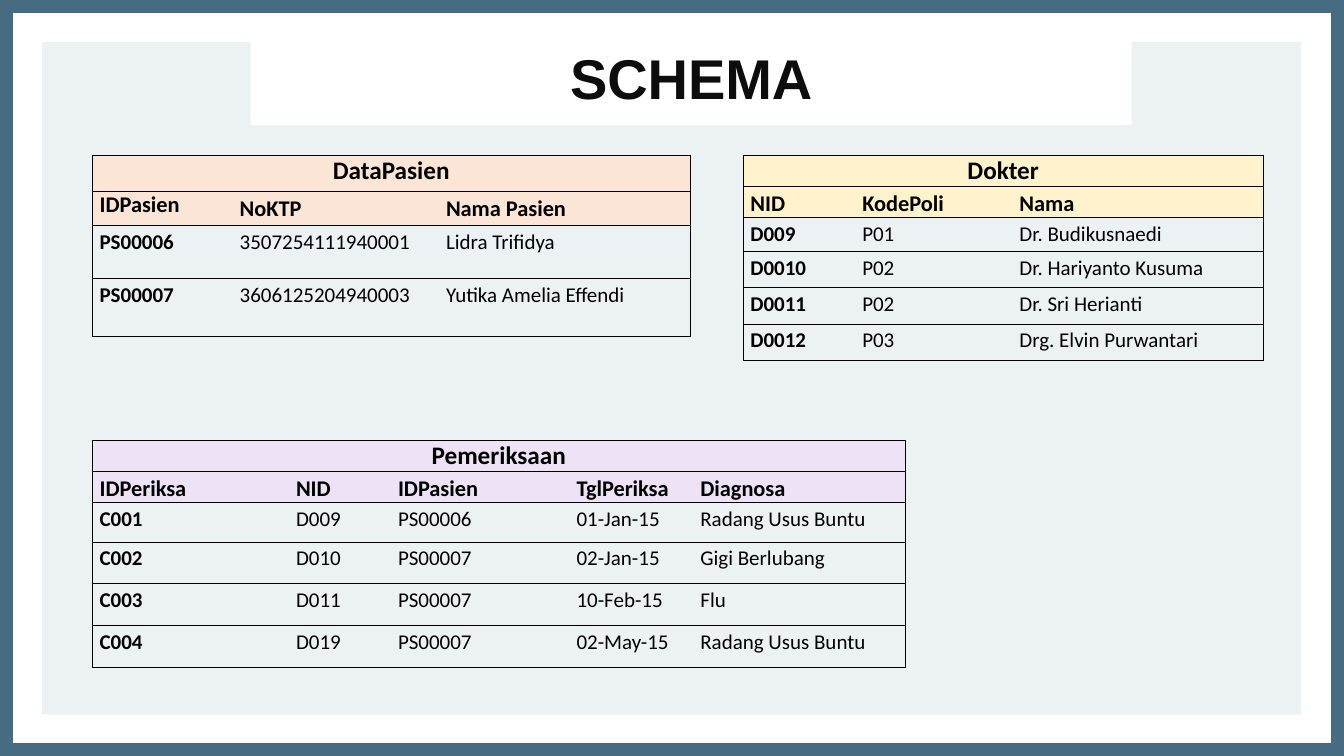
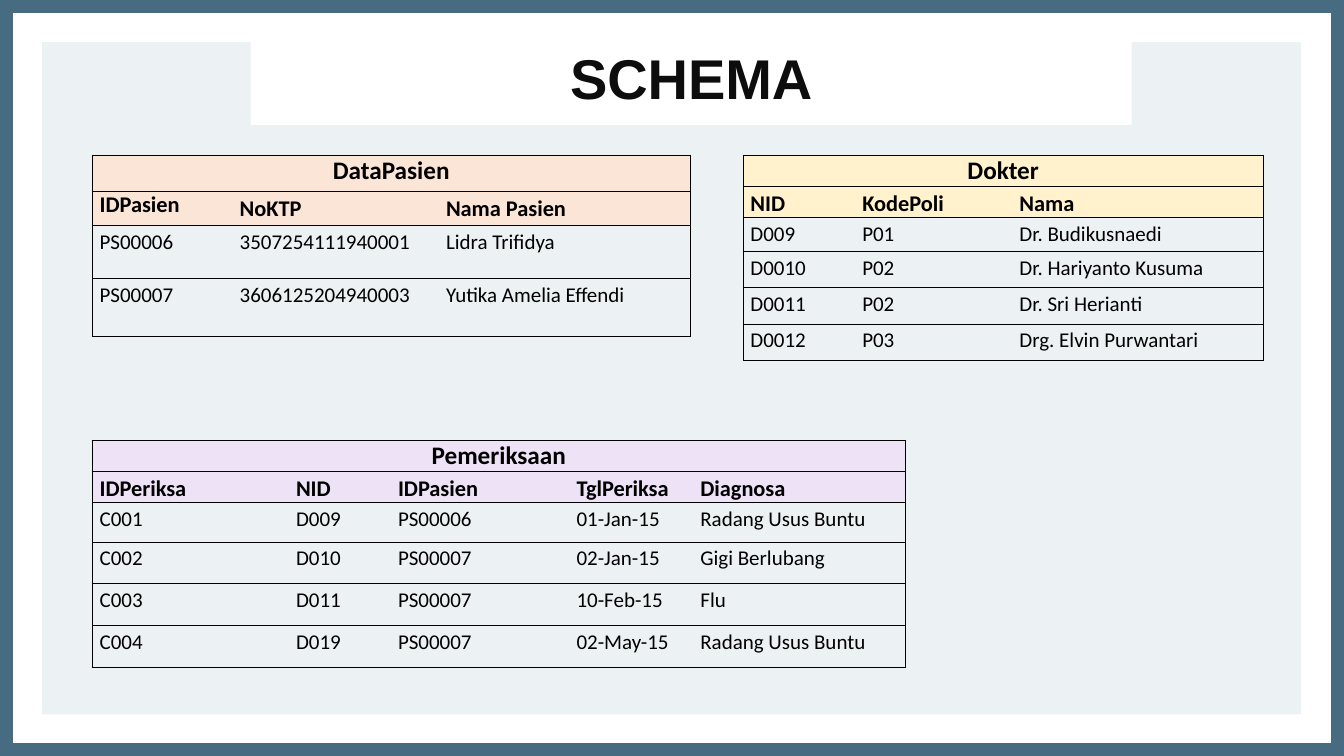
from dataclasses import dataclass
from typing import Any

from lxml.etree import SubElement
from pptx import Presentation
from pptx.dml.color import RGBColor
from pptx.enum.shapes import MSO_SHAPE
from pptx.enum.text import MSO_ANCHOR, PP_ALIGN
from pptx.oxml.ns import qn
from pptx.util import Cm, Pt

STEEL = RGBColor(0x47, 0x6C, 0x81)
MIST = RGBColor(0xEC, 0xF2, 0xF4)
WHITE = RGBColor(0xFF, 0xFF, 0xFF)
BLACK = RGBColor(0x00, 0x00, 0x00)
INK = RGBColor(0x0D, 0x0D, 0x0D)
PEACH = RGBColor(0xFB, 0xE5, 0xD6)
CREAM = RGBColor(0xFF, 0xF2, 0xCC)
LILAC = RGBColor(0xED, 0xE2, 0xF6)

SLIDE_W, SLIDE_H = 33.87, 19.05
BORDER = Pt(0.5)
BODY_SPACING = 1.15

TITLE_FONT = {"name": "Arial", "size": Pt(40), "bold": True}
CAPTION_FONT = {"name": "Calibri", "size": Pt(18), "bold": True}
HEADER_FONT = {"name": "Calibri", "size": Pt(16), "bold": True}
VALUE_FONT = {"name": "Calibri", "size": Pt(15), "bold": False}
KEY_FONT = VALUE_FONT | {"bold": True}
CELL_FORMAT = {
    "margin_left": Cm(0.19),
    "margin_right": Cm(0.19),
    "margin_top": 0,
    "margin_bottom": 0,
    "vertical_anchor": MSO_ANCHOR.TOP,
}


@dataclass(frozen=True)
class Relation:
    """One relation of the schema; lengths in centimetres."""

    name: str
    color: RGBColor
    left: float
    top: float
    widths: tuple[float, ...]
    heights: tuple[float, ...]
    rows: tuple[tuple[str, ...], ...]
    key_header_spacing: float = BODY_SPACING


RELATIONS = (
    Relation(
        "DataPasien", PEACH, 2.32, 3.91,
        (3.53, 5.2, 6.35), (0.91, 0.86, 1.34, 1.45),
        (
            ("IDPasien", "NoKTP", "Nama Pasien"),
            ("PS00006", "3507254111940001", "Lidra Trifidya"),
            ("PS00007", "3606125204940003", "Yutika Amelia Effendi"),
        ),
        key_header_spacing=1.0,
    ),
    Relation(
        "Dokter", CREAM, 18.72, 3.91,
        (2.82, 3.96, 6.34), (0.71, 0.69, 0.86, 0.91, 0.91, 0.91),
        (
            ("NID", "KodePoli", "Nama"),
            ("D009", "P01", "Dr. Budikusnaedi"),
            ("D0010", "P02", "Dr. Hariyanto Kusuma"),
            ("D0011", "P02", "Dr. Sri Herianti"),
            ("D0012", "P03", "Drg. Elvin Purwantari"),
        ),
    ),
    Relation(
        "Pemeriksaan", LILAC, 2.32, 11.1,
        (4.95, 2.57, 4.5, 3.12, 5.36), (0.69, 0.66, 0.99, 1.05, 1.05, 1.05),
        (
            ("IDPeriksa", "NID", "IDPasien", "TglPeriksa", "Diagnosa"),
            ("C001", "D009", "PS00006", "01-Jan-15", "Radang Usus Buntu"),
            ("C002", "D010", "PS00007", "02-Jan-15", "Gigi Berlubang"),
            ("C003", "D011", "PS00007", "10-Feb-15", "Flu"),
            ("C004", "D019", "PS00007", "02-May-15", "Radang Usus Buntu"),
        ),
    ),
)


def apply(target: Any, values: dict[str, Any]) -> None:
    """Set each named attribute of the target."""
    for name, value in values.items():
        setattr(target, name, value)


def write(tf: Any, text: str, font: dict[str, Any], color: RGBColor,
          align: PP_ALIGN = PP_ALIGN.LEFT, spacing: float = 1.0) -> None:
    """Write one formatted paragraph into a text frame."""
    p = tf.paragraphs[0]
    apply(p, {"alignment": align, "line_spacing": spacing})
    r = p.add_run()
    r.text = text
    apply(r.font, font)
    r.font.color.rgb = color


def add_block(slide: Any, kind: MSO_SHAPE, color: RGBColor,
              left: float, top: float, width: float, height: float) -> Any:
    """Add a flat shape without outline."""
    sp = slide.shapes.add_shape(kind, Cm(left), Cm(top), Cm(width), Cm(height))
    sp.shadow.inherit = False
    sp.fill.solid()
    sp.fill.fore_color.rgb = color
    sp.line.fill.background()
    return sp


def add_base(slide: Any, title: str) -> None:
    """Draw the frame, the panel and the title band."""
    frame = add_block(slide, MSO_SHAPE.FRAME, STEEL, 0, 0, SLIDE_W, SLIDE_H)
    frame.adjustments[0] = 0.017
    add_block(slide, MSO_SHAPE.RECTANGLE, MIST, 1.06, 1.06, 31.73, 16.94)
    band = add_block(slide, MSO_SHAPE.RECTANGLE, WHITE, 6.32, 0.74, 22.2, 2.41)
    tf = band.text_frame
    apply(tf, {"word_wrap": True, "vertical_anchor": MSO_ANCHOR.MIDDLE})
    write(tf, title, TITLE_FONT, INK, PP_ALIGN.CENTER)


def set_borders(cell: Any, visible: str) -> None:
    """Rule the visible sides (letters of LRTB) and clear the others."""
    tc_pr = cell._tc.get_or_add_tcPr()
    for i, side in enumerate("LRTB"):
        ln = SubElement(tc_pr, qn(f"a:ln{side}"), w=str(BORDER))
        if side in visible:
            fill = SubElement(ln, qn("a:solidFill"))
            SubElement(fill, qn("a:srgbClr"), val=str(BLACK))
        else:
            SubElement(ln, qn("a:noFill"))
        tc_pr.insert(i, ln)


def format_cell(cell: Any, color: RGBColor | None, sides: str) -> None:
    """Set margins, fill and borders of a cell."""
    apply(cell, CELL_FORMAT)
    if color is None:
        cell.fill.background()
    else:
        cell.fill.solid()
        cell.fill.fore_color.rgb = color
    set_borders(cell, sides)


def add_relation(slide: Any, rel: Relation, bold_keys: bool) -> None:
    """Draw a relation as a table with caption, header and data rows."""
    n_rows, n_cols = len(rel.heights), len(rel.widths)
    table = slide.shapes.add_table(
        n_rows, n_cols, Cm(rel.left), Cm(rel.top),
        Cm(sum(rel.widths)), Cm(sum(rel.heights))).table
    apply(table, {"first_row": False, "horz_banding": False})
    for column, width in zip(table.columns, rel.widths):
        column.width = Cm(width)
    for row, height in zip(table.rows, rel.heights):
        row.height = Cm(height)

    caption = table.cell(0, 0)
    caption.merge(table.cell(0, n_cols - 1))
    for j in range(n_cols):
        format_cell(table.cell(0, j), rel.color, "LRTB" if j == 0 else "RTB" if j == n_cols - 1 else "TB")
    write(caption.text_frame, rel.name, CAPTION_FONT, BLACK, PP_ALIGN.CENTER)

    for i, values in enumerate(rel.rows, start=1):
        is_header = i == 1
        for j, value in enumerate(values):
            is_key = j == 0
            sides = "TB" + "L" * is_key + "R" * (j == n_cols - 1)
            cell = table.cell(i, j)
            format_cell(cell, rel.color if is_header else None, sides)
            spacing = rel.key_header_spacing if is_header and is_key else BODY_SPACING
            if is_header:
                font = HEADER_FONT
            else:
                font = KEY_FONT if is_key and bold_keys else VALUE_FONT
            write(cell.text_frame, value, font, BLACK, spacing=spacing)


def main() -> None:
    """Build both schema slides, first with bold keys, then plain."""
    prs = Presentation()
    prs.slide_width, prs.slide_height = Cm(SLIDE_W), Cm(SLIDE_H)
    for bold_keys in (True, False):
        slide = prs.slides.add_slide(prs.slide_layouts[6])
        add_base(slide, "SCHEMA")
        for rel in RELATIONS:
            add_relation(slide, rel, bold_keys)
    prs.save("out.pptx")


main()
